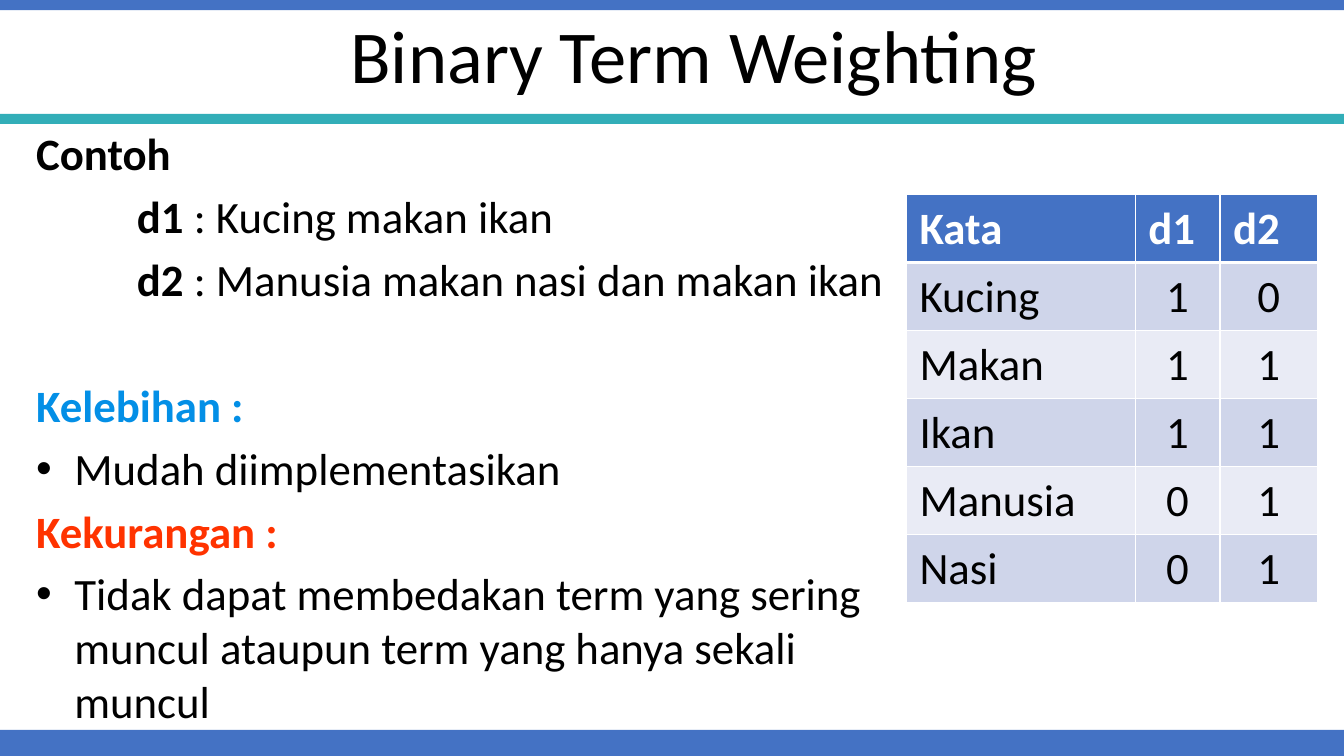
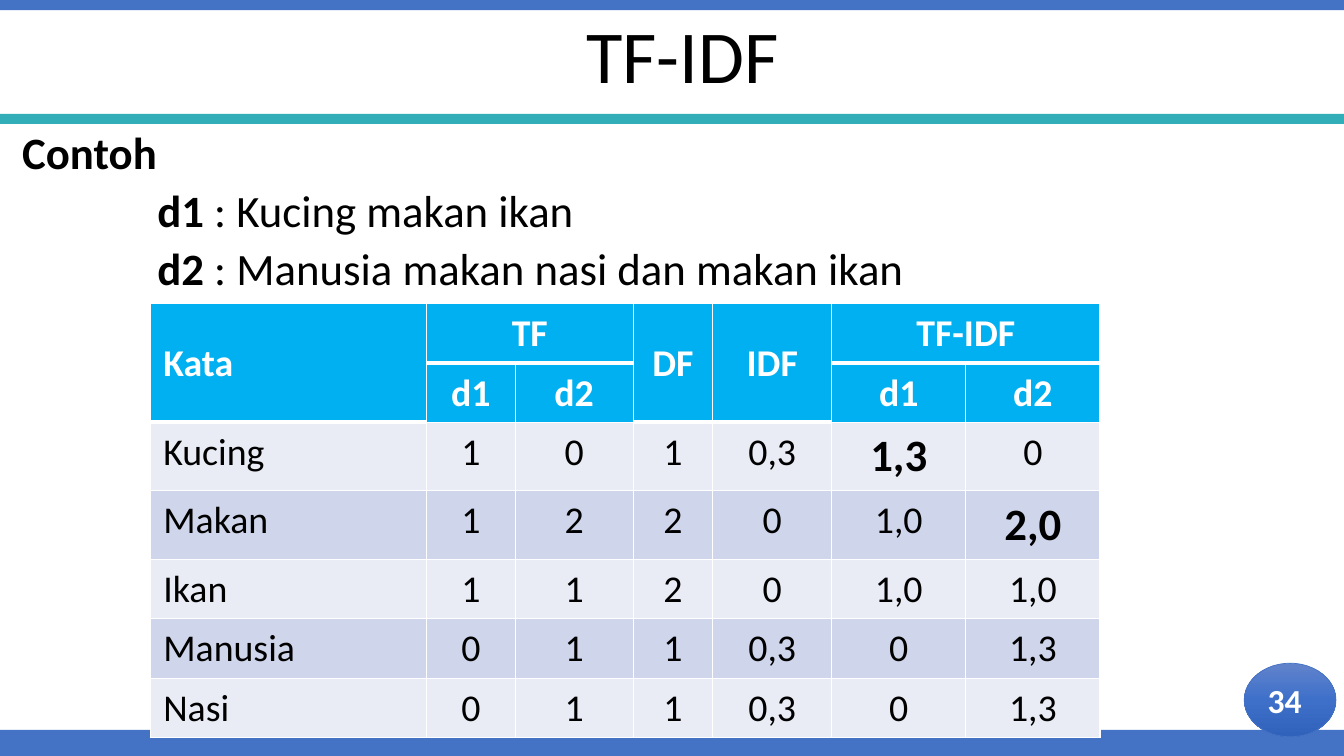
from copy import deepcopy

from lxml import etree
from pptx import Presentation
from pptx.dml.color import RGBColor
from pptx.enum.shapes import MSO_SHAPE
from pptx.enum.text import MSO_ANCHOR, PP_ALIGN
from pptx.oxml.ns import qn
from pptx.util import Inches, Pt

FONT = "Calibri"
COLORS = {
    "blue": "4472C4", "teal": "32AEB8", "sky": "00B0F0",
    "band_dark": "CFD5EA", "band_light": "E9EBF5",
    "black": "000000", "white": "FFFFFF",
    "strength": "038FE6", "weakness": "FF3300",
    "badge_top": "6183CB", "badge_mid": "3E70CA", "badge_end": "3062BB",
}
SLIDE_WIDTH, SLIDE_HEIGHT = 13.33, 7.5
BODY_SIZE = 32
DOCUMENTS = [("d1", "Kucing makan ikan"),
             ("d2", "Manusia makan nasi dan makan ikan")]


def rgb(name):
    return RGBColor.from_string(COLORS[name])


# Text
def add_run(paragraph, text, *, size=BODY_SIZE, bold=False, color="black"):
    run = paragraph.add_run()
    run.text = text
    run.font.name = FONT
    run.font.size = Pt(size)
    run.font.bold = bold
    run.font.color.rgb = rgb(color)


def set_margins(target, horizontal, top, bottom):
    target.margin_left = target.margin_right = Inches(horizontal)
    target.margin_top, target.margin_bottom = Inches(top), Inches(bottom)


def add_body(slide, left, top, width, height, *, margins):
    frame = slide.shapes.add_textbox(
        Inches(left), Inches(top), Inches(width), Inches(height)).text_frame
    frame.word_wrap = True
    set_margins(frame, *margins)
    return frame


def add_line(frame, runs, *, color="black", indent=0, bullet=False,
             before=6.4, spacing=1.0):
    """Add a paragraph of (text, bold) runs."""
    first = frame.paragraphs[0]
    is_first = not first.runs
    paragraph = first if is_first else frame.add_paragraph()
    paragraph.space_before = Pt(0 if is_first else before)
    paragraph.line_spacing = spacing
    properties = paragraph._p.get_or_add_pPr()
    properties.set("marL", str(Inches(indent)))
    properties.set("indent", str(-Inches(indent) if bullet else 0))
    if bullet:
        etree.SubElement(properties, qn("a:buFont"), typeface="Arial")
        etree.SubElement(properties, qn("a:buChar"), char="•")
    for text, bold in runs:
        add_run(paragraph, text, bold=bold, color=color)


def add_example(frame, *, indent, **layout):
    add_line(frame, [("Contoh", True)], **layout)
    for label, sentence in DOCUMENTS:
        add_line(frame, [(label, True), (f" : {sentence}", False)],
                 indent=indent, **layout)


# Shared frame of the slides
def add_band(slide, top, height, color):
    band = slide.shapes.add_shape(MSO_SHAPE.RECTANGLE, 0, Inches(top),
                                  Inches(SLIDE_WIDTH), Inches(height))
    band.shadow.inherit = False
    band.fill.solid()
    band.fill.fore_color.rgb = rgb(color)
    band.line.fill.background()


def add_titled_slide(deck, title, left):
    slide = deck.slides.add_slide(deck.slide_layouts[5])
    add_band(slide, 7.24, 0.26, "blue")
    add_band(slide, 0, 0.1, "blue")
    add_band(slide, 1.13, 0.1, "teal")
    heading = slide.shapes.title
    heading.left, heading.top = Inches(left), Inches(0.02)
    heading.width, heading.height = Inches(12.9), Inches(1.05)
    frame = heading.text_frame
    frame.vertical_anchor = MSO_ANCHOR.TOP
    set_margins(frame, 0.13, 0.07, 0.07)
    frame.paragraphs[0].alignment = PP_ALIGN.CENTER
    add_run(frame.paragraphs[0], title, size=53.3)
    return slide


# Tables
def set_borders(cell, widths):
    properties = cell._tc.get_or_add_tcPr()
    for side, width in widths.items():
        line = etree.SubElement(properties, qn(f"a:ln{side}"), w=str(Pt(width)))
        fill = etree.SubElement(line, qn("a:solidFill"))
        etree.SubElement(fill, qn("a:srgbClr"), val=COLORS["white"])


def add_word_table(slide, left, top, columns, heights, rows, *, size,
                   header_color, header_rows=1, header_align=PP_ALIGN.CENTER,
                   header_anchor=MSO_ANCHOR.TOP, merges=(), highlights=()):
    table = slide.shapes.add_table(
        len(rows), len(columns), Inches(left), Inches(top),
        Inches(sum(columns)), Inches(sum(heights))).table
    table.horz_banding = False
    for column, width in zip(table.columns, columns):
        column.width = Inches(width)
    for row, height in zip(table.rows, heights):
        row.height = Inches(height)
    for r, values in enumerate(rows):
        is_header = r < header_rows
        banding = "band_dark" if r % 2 else "band_light"
        for c, value in enumerate(values):
            cell = table.cell(r, c)
            set_margins(cell, 0.13, 0.07, 0.06)
            cell.vertical_anchor = header_anchor if is_header else MSO_ANCHOR.TOP
            sides = {"L": 1, "R": 1, "T": 1, "B": 3} if r == 0 else {"L": 1, "R": 1, "B": 1}
            set_borders(cell, sides)
            cell.fill.solid()
            cell.fill.fore_color.rgb = rgb(header_color if is_header else banding)
            if not value:
                continue
            paragraph = cell.text_frame.paragraphs[0]
            if c:
                paragraph.alignment = header_align if is_header else PP_ALIGN.CENTER
            strong = (r, c) in highlights
            add_run(paragraph, value, size=BODY_SIZE if strong else size,
                    bold=is_header or strong,
                    color="white" if is_header else "black")
    for start, end in merges:
        table.cell(*start).merge(table.cell(*end))


# Page number
def add_page_badge(slide, number):
    badge = slide.shapes.add_shape(MSO_SHAPE.OVAL, Inches(12.34), Inches(6.58),
                                   Inches(0.91), Inches(0.73))
    badge.shadow.inherit = False
    badge.fill.gradient()
    badge.fill.gradient_angle = 270
    stop_list = next(badge.element.iter(qn("a:gsLst")))
    stop_list.append(deepcopy(stop_list[0]))
    shades = [(0, "badge_top"), (0.5, "badge_mid"), (1, "badge_end")]
    for stop, (position, color) in zip(badge.fill.gradient_stops, shades):
        stop.position = position
        stop.color.rgb = rgb(color)
    badge.line.color.rgb = rgb("blue")
    badge.line.width = Pt(0.5)
    frame = badge.text_frame
    frame.vertical_anchor = MSO_ANCHOR.MIDDLE
    frame.paragraphs[0].alignment = PP_ALIGN.LEFT
    add_run(frame.paragraphs[0], number, size=24, bold=True, color="white")


# Slides
def build_binary_weighting(deck):
    slide = add_titled_slide(deck, "Binary Term Weighting", 0.43)
    body = add_body(slide, 0.26, 1.2, 8.73, 6.12, margins=(0.1, 0.05, 0.05))
    add_example(body, indent=1)
    add_line(body, [("Kelebihan :", True)], color="strength", before=52)
    add_line(body, [("Mudah diimplementasikan", False)], indent=0.38, bullet=True)
    add_line(body, [("Kekurangan :", True)], color="weakness")
    add_line(body, [("Tidak dapat membedakan term yang sering muncul ataupun "
                     "term yang hanya sekali muncul", False)],
             indent=0.38, bullet=True)
    rows = [
        ("Kata", "d1", "d2"),
        ("Kucing", "1", "0"),
        ("Makan", "1", "1"),
        ("Ikan", "1", "1"),
        ("Manusia", "0", "1"),
        ("Nasi", "0", "1"),
    ]
    add_word_table(slide, 8.99, 1.93, [2.27, 0.84, 0.97],
                   [4.05 / len(rows)] * len(rows), rows, size=BODY_SIZE,
                   header_color="blue", header_align=PP_ALIGN.LEFT)


def build_tf_idf(deck):
    slide = add_titled_slide(deck, "TF-IDF", 0.32)
    add_page_badge(slide, "34")
    body = add_body(slide, 0.09, 1.23, 13.1, 1.75, margins=(0.13, 0.07, 0.07))
    add_example(body, indent=1.34, before=6.7, spacing=0.9)
    rows = [
        ("Kata", "TF", "", "DF", "IDF", "TF-IDF", ""),
        ("", "d1", "d2", "", "", "d1", "d2"),
        ("Kucing", "1", "0", "1", "0,3", "1,3", "0"),
        ("Makan", "1", "2", "2", "0", "1,0", "2,0"),
        ("Ikan", "1", "1", "2", "0", "1,0", "1,0"),
        ("Manusia", "0", "1", "1", "0,3", "0", "1,3"),
        ("Nasi", "0", "1", "1", "0,3", "0", "1,3"),
    ]
    highlights = {(2, 5), (3, 6)}
    tall_rows = {r for r, _ in highlights}
    heights = [0.68 if r in tall_rows else 0.59 for r in range(len(rows))]
    tall_headers = [((0, c), (1, c)) for c in (0, 3, 4)]
    wide_headers = [((0, c), (0, c + 1)) for c in (1, 5)]
    add_word_table(slide, 1.49, 3.01, [2.74, 0.88, 1.17, 0.79, 1.18, 1.33, 1.33],
                   heights, rows, size=27, header_color="sky", header_rows=2,
                   header_anchor=MSO_ANCHOR.MIDDLE,
                   merges=tall_headers + wide_headers, highlights=highlights)


def main():
    deck = Presentation()
    deck.slide_width, deck.slide_height = Inches(SLIDE_WIDTH), Inches(SLIDE_HEIGHT)
    build_binary_weighting(deck)
    build_tf_idf(deck)
    deck.save("out.pptx")


if __name__ == "__main__":
    main()
